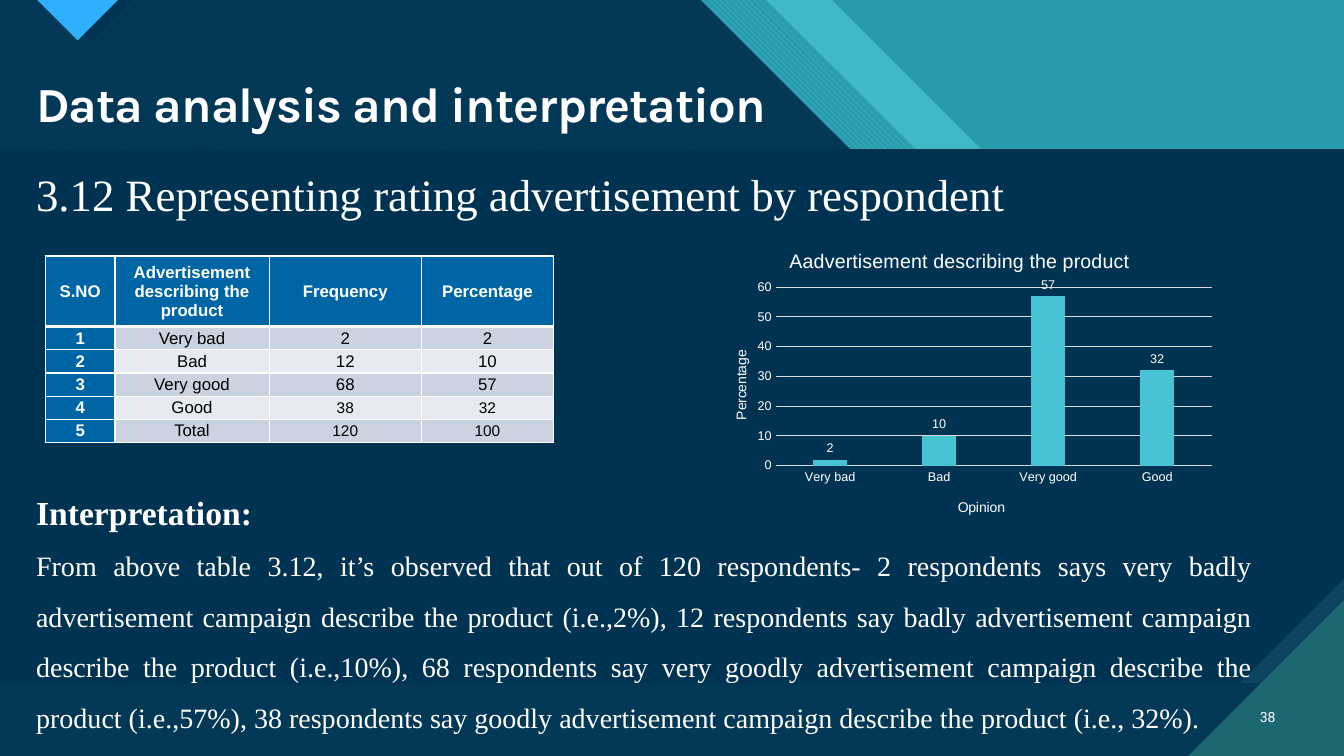
from lxml import etree
from pptx import Presentation
from pptx import util as u
from pptx.chart.data import CategoryChartData
from pptx.dml.color import RGBColor
from pptx.enum import chart as charts, dml, text
from pptx.oxml.ns import qn

WHITE, BLACK, NAVY, TEAL, AQUA = "FFFFFF", "000000", "003352", "299CAB", "47C3D3"
PINE, SKY, HEADER, GRID = "1B6872", "2FAFFF", "0065A4", "D9D9D9"
STRIPES = ("CCD3E0", "E7EAF0")
SERIF = "Times New Roman"
WIDTH, HEIGHT = 13.33, 7.5
PATTERN = dml.MSO_PATTERN

RATINGS = [
    ("S.NO", "Advertisement describing the product", "Frequency", "Percentage"),
    ("1", "Very bad", "2", "2"),
    ("2", "Bad", "12", "10"),
    ("3", "Very good", "68", "57"),
    ("4", "Good", "38", "32"),
    ("5", "Total", "120", "100"),
]
FINDINGS = (
    "From above table 3.12, it’s observed that out of 120 respondents- 2 respondents says very badly "
    "advertisement campaign describe the product (i.e.,2%), 12 respondents say badly advertisement "
    "campaign describe the product (i.e.,10%), 68 respondents say very goodly advertisement campaign "
    "describe the product (i.e.,57%), 38 respondents say goodly advertisement campaign describe the "
    "product (i.e., 32%)."
)


def rgb(color):
    return RGBColor.from_string(color)


def style_font(font, name, size, color, bold=False):
    font.name, font.size, font.bold = name, u.Pt(size), bold
    font.color.rgb = rgb(color)


def add_polygon(slide, points, color, alpha=None, pattern=None, back=None):
    corners = [(u.Inches(x), u.Inches(y)) for x, y in points]
    builder = slide.shapes.build_freeform(*corners[0])
    builder.add_line_segments(corners[1:])
    polygon = builder.convert_to_shape()
    polygon.shadow.inherit = False
    polygon.line.fill.background()
    fill = polygon.fill
    if pattern is None:
        fill.solid()
        fill.fore_color.rgb = rgb(color)
    else:
        fill.patterned()
        fill.pattern = pattern
        fill.fore_color.rgb = rgb(color)
        fill.back_color.rgb = rgb(back)
    if alpha:
        tint = polygon._element.spPr.find(".//" + qn("a:srgbClr"))
        etree.SubElement(tint, qn("a:alpha")).set("val", str(alpha * 1000))


def add_text(slide, box, lines, align, name, color=WHITE, spacing=None, after=None):
    frame = slide.shapes.add_textbox(*map(u.Inches, box)).text_frame
    frame.word_wrap = True
    frame.vertical_anchor = text.MSO_ANCHOR.TOP
    for index, (words, size, bold) in enumerate(lines):
        paragraph = frame.add_paragraph() if index else frame.paragraphs[0]
        paragraph.text = words
        paragraph.alignment = align
        if spacing:
            paragraph.line_spacing = spacing
        if after:
            paragraph.space_after = u.Pt(after)
        style_font(paragraph.font, name, size, color, bold)
    return frame


def add_backdrop(slide):
    slide.background.fill.solid()
    slide.background.fill.fore_color.rgb = rgb(TEAL)
    bottom = [(WIDTH, HEIGHT), (0, HEIGHT)]
    add_polygon(slide, [(0, 0), (8.25, 0), (11.22, 2.97), (12.34, 2.97), (WIDTH, 3.96)] + bottom,
                AQUA, alpha=74)
    add_polygon(slide, [(0, 0), (7.6, 0), (10.58, 2.97), (11.84, 2.97), (WIDTH, 4.47)] + bottom,
                AQUA, pattern=PATTERN.WIDE_DOWNWARD_DIAGONAL, back=TEAL)
    title_area = [(0, 0), (6.95, 0), (9.92, 2.97), (11.18, 2.97), (WIDTH, 5.13)] + bottom
    add_polygon(slide, title_area, AQUA, pattern=PATTERN.WIDE_UPWARD_DIAGONAL, back=PINE)
    add_polygon(slide, title_area, NAVY, alpha=90)
    add_polygon(slide, [(0.48, 0), (1.31, 0), (0.9, 0.41)], NAVY)
    add_polygon(slide, [(0.37, 0), (1.17, 0), (0.77, 0.4)], SKY,
                pattern=PATTERN.DARK_HORIZONTAL, back=PINE)
    top, base, snip = 1.48, 6.78, 1.04
    add_polygon(slide, [(0, top), (WIDTH, top), (WIDTH, base), (0, base)], "0C4360",
                pattern=PATTERN.DARK_VERTICAL, back=PINE)
    add_polygon(slide, [(0, top), (WIDTH, top), (WIDTH, base - snip), (WIDTH - snip, base), (0, base)],
                NAVY)
    add_polygon(slide, [(11.79, HEIGHT), (WIDTH, HEIGHT), (WIDTH, 5.96)], PINE,
                pattern=PATTERN.DARK_HORIZONTAL, back=AQUA)


def add_borders(cell, widths):
    properties = cell._tc.get_or_add_tcPr()
    for side, width in zip("LRTB", widths):
        line = etree.SubElement(properties, qn(f"a:ln{side}"), w=str(u.Pt(width)))
        fill = etree.SubElement(line, qn("a:solidFill"))
        etree.SubElement(fill, qn("a:srgbClr"), val=WHITE)


def add_ratings_table(slide):
    box = map(u.Inches, (0.45, 2.54, 5.04, 1.86))
    table = slide.shapes.add_table(len(RATINGS), len(RATINGS[0]), *box).table
    for column, width in zip(table.columns, (0.69, 1.53, 1.51, 1.31)):
        column.width = u.Inches(width)
    for r, values in enumerate(RATINGS):
        table.rows[r].height = u.Inches(0.23 if r else 0.7)
        for c, value in enumerate(values):
            cell = table.cell(r, c)
            heading = r == 0 or c == 0
            add_borders(cell, (1, 1, 3 if r == 1 else 1, 1 if r else 3))
            cell.fill.solid()
            cell.fill.fore_color.rgb = rgb(HEADER if heading else STRIPES[(r - 1) % 2])
            cell.vertical_anchor = text.MSO_ANCHOR.MIDDLE
            cell.margin_left = cell.margin_right = u.Inches(0.07)
            cell.margin_top = cell.margin_bottom = 0
            cell.text = value
            paragraph = cell.text_frame.paragraphs[0]
            paragraph.alignment = text.PP_ALIGN.CENTER
            size = 11 if r >= 4 and c >= 2 else 12
            style_font(paragraph.font, "Arial", size, WHITE if heading else BLACK, heading)


def place(element, **fractions):
    layout = element.find(qn("c:layout"))
    if layout is None:
        layout = etree.Element(qn("c:layout"))
        words = element.find(qn("c:tx"))
        element.insert(0 if words is None else 1, layout)
    manual = etree.SubElement(layout, qn("c:manualLayout"))
    if "w" in fractions:
        etree.SubElement(manual, qn("c:layoutTarget"), val="inner")
    for axis in "xy":
        etree.SubElement(manual, qn(f"c:{axis}Mode"), val="edge")
    for key, value in fractions.items():
        etree.SubElement(manual, qn(f"c:{key}"), val=str(value))


def add_chart_title(title, words, size, x, y):
    title.text_frame.text = words
    style_font(title.text_frame.paragraphs[0].font, "Arial", size, WHITE)
    place(title._element, x=x, y=y)


def add_percentage_chart(slide):
    data = CategoryChartData()
    data.categories = [row[1] for row in RATINGS[1:-1]]
    data.add_series("Series 1", [int(row[3]) for row in RATINGS[1:-1]])
    box = map(u.Inches, (6.98, 2.28, 5.09, 3))
    chart = slide.shapes.add_chart(charts.XL_CHART_TYPE.COLUMN_CLUSTERED, *box, data).chart
    style_font(chart.font, "Arial", 10, WHITE)
    chart.has_legend = False
    add_chart_title(chart.chart_title, "Aadvertisement describing the product", 14, 0.16, 0.05)
    opinion, percentage = chart.category_axis, chart.value_axis
    add_chart_title(opinion.axis_title, "Opinion", 10, 0.49, 0.88)
    add_chart_title(percentage.axis_title, "Percentage", 10, 0.05, 0.39)
    percentage.axis_title._element.find(".//" + qn("a:bodyPr")).set("rot", "-5400000")
    for axis in (opinion, percentage):
        axis.major_tick_mark = axis.minor_tick_mark = charts.XL_TICK_MARK.NONE
        style_font(axis.tick_labels.font, "Arial", 9, WHITE)
    percentage.minimum_scale, percentage.maximum_scale, percentage.major_unit = 0, 60, 10
    percentage.format.line.fill.background()
    for line in (opinion.format.line, percentage.major_gridlines.format.line):
        line.color.rgb = rgb(GRID)
        line.width = u.Pt(0.75)
    plot = chart.plots[0]
    plot.vary_by_categories = False
    plot.gap_width, plot.overlap = 219, -27
    plot.series[0].format.fill.solid()
    plot.series[0].format.fill.fore_color.rgb = rgb(AQUA)
    plot.has_data_labels = True
    plot.data_labels.show_value = True
    plot.data_labels.position = charts.XL_LABEL_POSITION.OUTSIDE_END
    style_font(plot.data_labels.font, "Arial", 9, WHITE)
    place(chart._chartSpace.find(".//" + qn("c:plotArea")), x=0.14, y=0.19, w=0.85, h=0.59)


def main():
    deck = Presentation()
    deck.slide_width, deck.slide_height = u.Inches(WIDTH), u.Inches(HEIGHT)
    slide = deck.slides.add_slide(deck.slide_layouts[6])
    align = text.PP_ALIGN
    add_backdrop(slide)
    heading = add_text(slide, (0.26, 0.75, 7.56, 0.63), [("Data analysis and interpretation", 35, True)],
                       align.LEFT, "Karla", spacing=0.9)
    heading.paragraphs[0].runs[0].font._element.set("spc", "-70")
    page = add_text(slide, (12.31, 6.91, 0.44, 0.4), [("38", 10, False)], align.RIGHT, "Roboto")
    page.vertical_anchor = text.MSO_ANCHOR.MIDDLE
    add_text(slide, (0.26, 1.6, 12.04, 0.64),
             [("3.12 Representing rating advertisement by respondent", 32, False)],
             align.JUSTIFY, SERIF, after=19.5)
    add_text(slide, (0.26, 4.63, 12.26, 2.67), [("Interpretation:", 24, True), (FINDINGS, 20, False)],
             align.JUSTIFY, SERIF, spacing=1.5)
    add_ratings_table(slide)
    add_percentage_chart(slide)
    deck.save("out.pptx")


if __name__ == "__main__":
    main()
